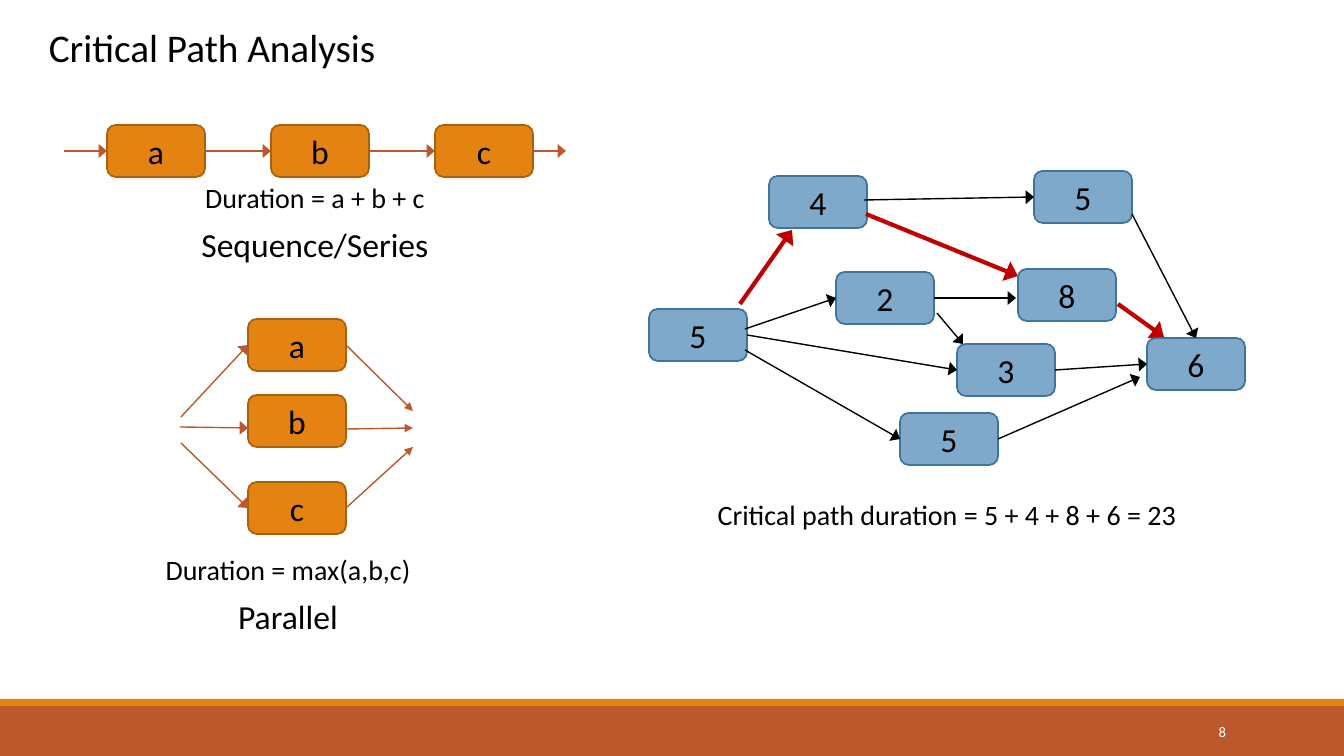
from dataclasses import dataclass

from lxml.etree import SubElement
from pptx import Presentation
from pptx.dml.color import RGBColor
from pptx.enum.shapes import MSO_CONNECTOR, MSO_SHAPE
from pptx.enum.text import MSO_ANCHOR, PP_ALIGN
from pptx.oxml.ns import qn
from pptx.util import Emu, Pt


@dataclass(frozen=True)
class Theme:
    font: str = "Calibri"
    text: str = "000000"
    light: str = "FFFFFF"
    brown: str = "BD582C"
    orange: str = "E48312"
    orange_edge: str = "A9610D"
    blue: str = "7EA9CA"
    blue_edge: str = "40749B"
    red: str = "C00000"
    title: float = 28
    label: float = 24
    formula: float = 20
    number: float = 10.5
    edge: float = 1.25
    arrow: float = 1
    critical: float = 3


T = Theme()
SLIDE_W, SLIDE_H = 1344, 756
NODE_W, NODE_H = 98, 52
PX = 12192000 / SLIDE_W
TOP, LEFT, BOTTOM, RIGHT = range(4)

BARS = [((0, 706, SLIDE_W, 50), T.brown), ((0, 699, SLIDE_W, 7), T.orange)]

TEXTS = [
    ("Critical Path Analysis", (39, 18, 372, 57), T.title, PP_ALIGN.LEFT, T.text),
    ("Duration = a + b + c", (157, 175, 316, 44), T.formula, PP_ALIGN.CENTER, T.text),
    ("Sequence/Series", (178, 219, 274, 51), T.label, PP_ALIGN.CENTER, T.text),
    ("Duration = max(a,b,c)", (130, 547, 316, 44), T.formula, PP_ALIGN.CENTER, T.text),
    ("Parallel", (151, 591, 274, 51), T.label, PP_ALIGN.CENTER, T.text),
    ("Critical path duration = 5 + 4 + 8 + 6 = 23", (704, 492, 486, 44),
     T.formula, PP_ALIGN.CENTER, T.text),
    ("8", (1092, 712, 144, 40), T.number, PP_ALIGN.RIGHT, T.light),
]

STEPS = "abc"
SERIES_X, SERIES_Y, SERIES_STEP = 107, 125, 164
PARALLEL_X, PARALLEL_Y = 248, (319, 395, 482)

NETWORK = {
    "start": ("5", 649, 309),
    "four": ("4", 769, 176),
    "upper five": ("5", 1034, 171),
    "two": ("2", 836, 272),
    "eight": ("8", 1018, 269),
    "lower five": ("5", 900, 413),
    "end": ("6", 1147, 338),
    "three": ("3", 957, 344),
}

SERIES_ARROWS = [
    ((64, 151), ("series a", LEFT)),
    (("series a", RIGHT), ("series b", LEFT)),
    (("series b", RIGHT), ("series c", LEFT)),
    (("series c", RIGHT), (566, 151)),
]
FORK_ARROWS = [
    ((181, 417), ("parallel a", LEFT)),
    ((180, 427), (248, 428)),
    ((181, 443), ("parallel c", LEFT)),
]
JOIN_ARROWS = [
    (("parallel a", RIGHT), (413, 411)),
    ((346, 429), (413, 428)),
    (("parallel c", RIGHT), (413, 447)),
]
NETWORK_ARROWS = [
    ((864, 200), ("upper five", LEFT)),
    ((745, 329), ("two", LEFT)),
    ((745, 350), ("lower five", LEFT)),
    (("two", RIGHT), (1016, 298)),
    (("lower five", RIGHT), (1140, 377)),
    ((1132, 214), ("end", TOP)),
    ((937, 313), (963, 344)),
    (("three", RIGHT), ("end", LEFT)),
    (("start", RIGHT), ("three", LEFT)),
]
CRITICAL_ARROWS = [
    ((740, 304), (792, 230)),
    ((866, 214), (1018, 276)),
    ((1118, 304), (1164, 337)),
]
ARROWS = [
    (SERIES_ARROWS, T.brown, T.arrow, "lg"),
    (FORK_ARROWS, T.brown, T.arrow, "lg"),
    (JOIN_ARROWS, T.brown, T.arrow, "med"),
    (NETWORK_ARROWS, T.text, T.arrow, "lg"),
    (CRITICAL_ARROWS, T.red, T.critical, "lg"),
]


def emu(*lengths):
    return [Emu(round(n * PX)) for n in lengths]


def set_all(target, values):
    for name, value in values.items():
        setattr(target, name, value)


def write(tf, text, size, align, color):
    p = tf.paragraphs[0]
    p.alignment = align
    r = p.add_run()
    r.text = text
    set_all(r.font, {"name": T.font, "size": Pt(size)})
    r.font.color.rgb = RGBColor.from_string(color)


def add_block(s, kind, box, fill, edge=None):
    sp = s.shapes.add_shape(kind, *emu(*box))
    sp.shadow.inherit = False
    sp.fill.solid()
    sp.fill.fore_color.rgb = RGBColor.from_string(fill)
    if edge:
        sp.line.color.rgb = RGBColor.from_string(edge)
        sp.line.width = Pt(T.edge)
    else:
        sp.line.fill.background()
    return sp


def add_node(s, text, x, y, fill, edge):
    sp = add_block(s, MSO_SHAPE.ROUNDED_RECTANGLE, (x, y, NODE_W, NODE_H), fill, edge)
    set_all(sp.text_frame, {"margin_left": 0, "margin_right": 0, "margin_top": 0,
                            "margin_bottom": 0, "vertical_anchor": MSO_ANCHOR.MIDDLE})
    write(sp.text_frame, text, T.label, PP_ALIGN.CENTER, T.text)
    return sp


def add_text(s, text, box, size, align, color):
    tf = s.shapes.add_textbox(*emu(*box)).text_frame
    set_all(tf, {"word_wrap": True, "vertical_anchor": MSO_ANCHOR.MIDDLE})
    write(tf, text, size, align, color)


def add_arrow(s, nodes, start, end, color, width, head_width):
    points = [(0, 0) if pt[0] in nodes else pt for pt in (start, end)]
    c = s.shapes.add_connector(MSO_CONNECTOR.STRAIGHT, *emu(*points[0], *points[1]))
    for join, (name, side) in ((c.begin_connect, start), (c.end_connect, end)):
        if name in nodes:
            join(nodes[name], side)
    c.line.color.rgb = RGBColor.from_string(color)
    c.line.width = Pt(width)
    SubElement(c.line._get_or_add_ln(), qn("a:tailEnd"),
               {"type": "triangle", "w": head_width, "len": "med"})
    SubElement(c._element.spPr, qn("a:effectLst"))


def main():
    prs = Presentation()
    prs.slide_width, prs.slide_height = emu(SLIDE_W, SLIDE_H)
    s = prs.slides.add_slide(prs.slide_layouts[6])
    for box, fill in BARS:
        add_block(s, MSO_SHAPE.RECTANGLE, box, fill)

    nodes = {}
    for name, (text, x, y) in NETWORK.items():
        nodes[name] = add_node(s, text, x, y, T.blue, T.blue_edge)
    for i, step in enumerate(STEPS):
        places = {"series": (SERIES_X + i * SERIES_STEP, SERIES_Y),
                  "parallel": (PARALLEL_X, PARALLEL_Y[i])}
        for group, (x, y) in places.items():
            nodes[f"{group} {step}"] = add_node(s, step, x, y, T.orange, T.orange_edge)

    for arrows, color, width, head_width in ARROWS:
        for start, end in arrows:
            add_arrow(s, nodes, start, end, color, width, head_width)
    for item in TEXTS:
        add_text(s, *item)
    prs.save("out.pptx")


if __name__ == "__main__":
    main()
